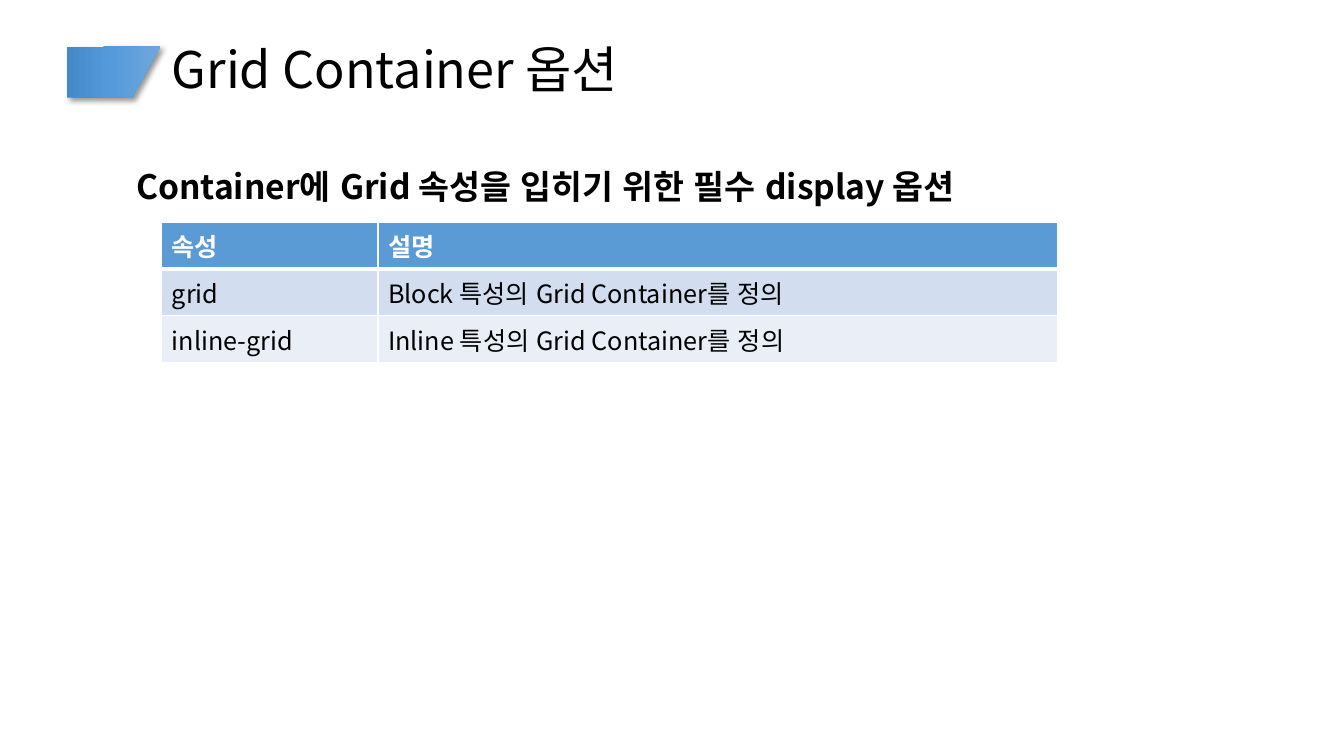
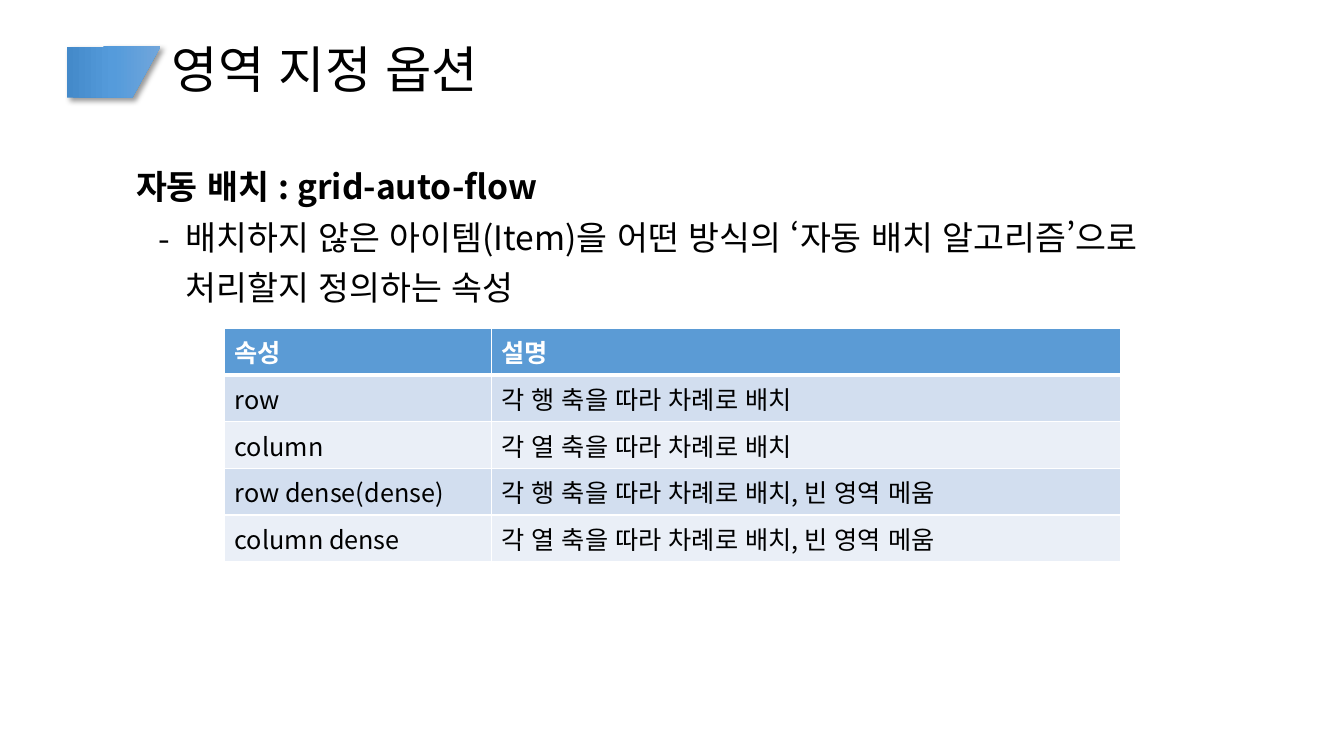
from pptx import Presentation
from pptx.dml.color import RGBColor
from pptx.enum.lang import MSO_LANGUAGE_ID
from pptx.enum.text import MSO_ANCHOR, MSO_AUTO_SIZE, PP_ALIGN
from pptx.oxml import parse_xml
from pptx.oxml.ns import nsdecls, qn
from pptx.util import Emu, Pt
from lxml.etree import SubElement

FONT = "Noto Sans CJK KR"
BLACK, WHITE = "000000", "FFFFFF"
HEADER_BLUE = "5B9BD5"
ROW_BLUES = ("D2DEEF", "EAEFF7")
MARKER_BLUES = ("448ACA", "559BDB", "71A6DB")
MARKER_CORNERS = ((64, 45), (99, 45), (99, 44), (153, 44), (126, 93), (64, 93))
TITLE_BOX = (154, 32, 1003, 74)
BODY_BOX = (120, 158, 1100, 459)
ROW_HEIGHT = 39
DETAIL_INDENT, DASH_HANG = 47, 26
TABLE_HEADER = ("속성", "설명")


def px(n):
    return Emu(n * 9525)


def rgb(hex_color):
    return RGBColor.from_string(hex_color)


def add_run(p, text, size, color=BLACK, bold=False):
    r = p.add_run()
    r.text = text
    r.font.size = Pt(size)
    r.font.bold = bold
    r.font.color.rgb = rgb(color)
    r.font.name = FONT
    r.font.language_id = MSO_LANGUAGE_ID.KOREAN
    r.font._element.find(qn("a:latin")).addnext(
        parse_xml(f'<a:ea {nsdecls("a")} typeface="{FONT}"/>'))


def place(shape, box):
    shape.left, shape.top, shape.width, shape.height = map(px, box)


def add_marker(s):
    """Draw the slanted gradient block in front of the title."""
    points = [(px(x), px(y)) for x, y in MARKER_CORNERS]
    builder = s.shapes.build_freeform(*points[0])
    builder.add_line_segments(points[1:], close=True)
    sp = builder.convert_to_shape()
    sp.line.fill.background()
    stops = "".join(
        f'<a:gs pos="{i * 50000}"><a:srgbClr val="{c}"/></a:gs>'
        for i, c in enumerate(MARKER_BLUES))
    sp_pr = sp._element.spPr
    sp_pr.find(qn("a:ln")).addprevious(parse_xml(
        f'<a:gradFill {nsdecls("a")}><a:gsLst>{stops}</a:gsLst>'
        '<a:lin ang="0" scaled="0"/></a:gradFill>'))
    sp.shadow.inherit = False
    sp_pr.find(qn("a:effectLst")).append(parse_xml(
        f'<a:outerShdw {nsdecls("a")} blurRad="{Pt(4)}" dist="{Pt(3)}" '
        'dir="2700000" algn="tl" rotWithShape="0">'
        f'<a:srgbClr val="{BLACK}"><a:alpha val="40000"/></a:srgbClr>'
        '</a:outerShdw>'))


def set_title(s, text):
    tf = s.shapes.title.text_frame
    tf.vertical_anchor = MSO_ANCHOR.MIDDLE
    tf.auto_size = MSO_AUTO_SIZE.NONE
    p = tf.paragraphs[0]
    p.alignment = PP_ALIGN.LEFT
    p.line_spacing = 0.9
    add_run(p, text, 36)


def set_indent(p, left=0, hang=0, bullet=None):
    p_pr = p._p.get_or_add_pPr()
    p_pr.set("marL", str(px(left)))
    p_pr.set("indent", str(px(-hang)))
    if bullet:
        SubElement(p_pr, qn("a:buFont"), typeface=FONT)
        SubElement(p_pr, qn("a:buChar"), char=bullet)
    else:
        SubElement(p_pr, qn("a:buNone"))


def set_body(s, heading, details):
    """Write a bold heading, then indented lines of which the first has a dash."""
    tf = s.placeholders[1].text_frame
    tf.auto_size = MSO_AUTO_SIZE.NONE
    for i, text in enumerate((heading, *details)):
        p = tf.add_paragraph() if i else tf.paragraphs[0]
        if i == 0:
            set_indent(p)
        elif i == 1:
            set_indent(p, DETAIL_INDENT, DASH_HANG, "-")
        else:
            set_indent(p, DETAIL_INDENT)
        p.line_spacing = 0.9
        p.space_before = Pt(10 if i else 0)
        add_run(p, text, 24, bold=i == 0)


def set_borders(cell, bottom):
    tc_pr = cell._tc.get_or_add_tcPr()
    widths = {"lnL": 1, "lnR": 1, "lnT": 1, "lnB": bottom}
    for i, (side, width) in enumerate(widths.items()):
        tc_pr.insert(i, parse_xml(
            f'<a:{side} {nsdecls("a")} w="{Pt(width)}"><a:solidFill>'
            f'<a:srgbClr val="{WHITE}"/></a:solidFill></a:{side}>'))


def add_property_table(s, left, top, col_widths, rows):
    rows = [TABLE_HEADER, *rows]
    table = s.shapes.add_table(
        len(rows), len(col_widths), px(left), px(top),
        px(sum(col_widths)), px(ROW_HEIGHT * len(rows))).table
    for col, width in zip(table.columns, col_widths):
        col.width = px(width)
    for i, row in enumerate(rows):
        header = i == 0
        for j, text in enumerate(row):
            cell = table.cell(i, j)
            cell.fill.solid()
            cell.fill.fore_color.rgb = rgb(
                HEADER_BLUE if header else ROW_BLUES[(i - 1) % 2])
            set_borders(cell, 3 if header else 1)
            add_run(cell.text_frame.paragraphs[0], text, 18,
                    WHITE if header else BLACK, header)


def add_slide(prs, title, heading, details=()):
    s = prs.slides.add_slide(prs.slide_layouts[1])
    place(s.shapes.title, TITLE_BOX)
    place(s.placeholders[1], BODY_BOX)
    set_title(s, title)
    set_body(s, heading, details)
    add_marker(s)
    return s


def main():
    prs = Presentation()
    prs.slide_width, prs.slide_height = px(1280), px(720)

    s = add_slide(prs, "Grid Container 옵션",
                  "Container에 Grid 속성을 입히기 위한 필수 display 옵션")
    add_property_table(s, 154, 212, (206, 647), [
        ("grid", "Block 특성의 Grid Container를 정의"),
        ("inline-grid", "Inline 특성의 Grid Container를 정의"),
    ])

    s = add_slide(prs, "영역 지정 옵션", "자동 배치 : grid-auto-flow", (
        "배치하지 않은 아이템(Item)을 어떤 방식의 ‘자동 배치 알고리즘’으로",
        "처리할지 정의하는 속성",
    ))
    add_property_table(s, 214, 313, (254, 599), [
        ("row", "각 행 축을 따라 차례로 배치"),
        ("column", "각 열 축을 따라 차례로 배치"),
        ("row dense(dense)", "각 행 축을 따라 차례로 배치, 빈 영역 메움"),
        ("column dense", "각 열 축을 따라 차례로 배치, 빈 영역 메움"),
    ])

    prs.save("out.pptx")


if __name__ == "__main__":
    main()
